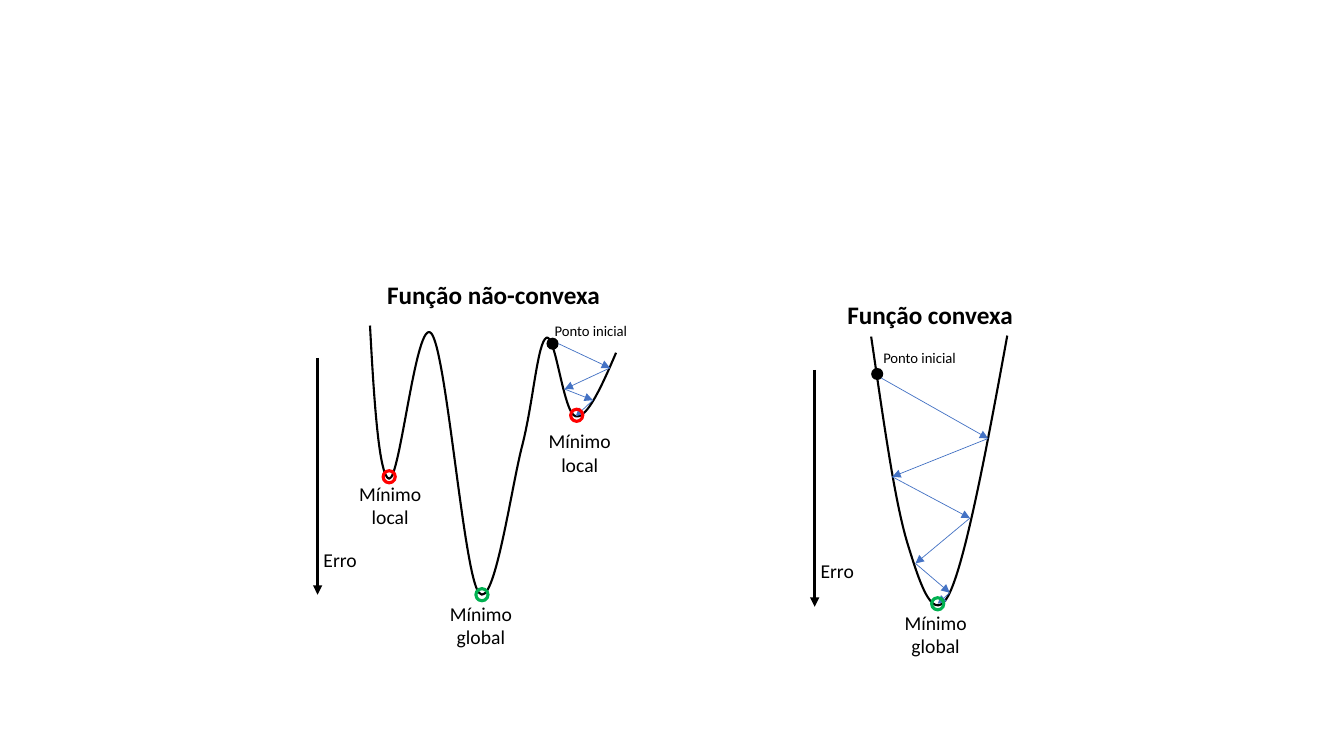
"""Build a slide comparing descent on a non-convex and a convex function."""
from dataclasses import dataclass

from lxml import etree
from pptx import Presentation
from pptx import util as u
from pptx.dml.color import RGBColor
from pptx.enum import shapes, text
from pptx.oxml.ns import qn

COLS, ROWS = 1333, 750
CELL = u.Inches(0.01)
MARK = 12
CURVE_ROWS = 267
FONT = "Calibri"
COLORS = {"ink": "000000", "step": "4472C4", "local": "FF0000", "global": "00B050"}

Point = tuple[float, float]


@dataclass(frozen=True)
class Label:
    text: str
    col: float
    row: float
    cols: float = 86
    rows: float = 57
    size: float = 14
    bold: bool = False
    centered: bool = True


@dataclass(frozen=True)
class Minimum:
    col: float
    row: float
    color: str


@dataclass(frozen=True)
class Panel:
    curve: list[Point]
    start: Point
    descent: list[Point]
    axis: tuple[Point, Point]
    minima: list[Minimum]
    labels: list[Label]


def title(words: str, col: float, row: float) -> Label:
    """Describe a panel heading."""
    return Label(words, col, row, 307, 40, 18, bold=True)


def start_label(col: float, row: float) -> Label:
    """Describe the caption of the starting point."""
    return Label("Ponto inicial", col, row, 122, 28, 10.5)


def error_label(col: float, row: float) -> Label:
    """Describe the caption of the error axis."""
    return Label("Erro", col, row, 65, 34, centered=False)


PANELS = [
    Panel(
        curve=[(864, 334), (876, 415), (887, 496), (900, 539), (913, 581),
               (926, 622), (942, 588), (958, 554), (979, 443), (999, 333)],
        start=(864, 365),
        descent=[(874, 375), (980, 435), (885, 473), (962, 514),
                 (908, 559), (942, 588), (930, 599)],
        axis=((808, 367), (808, 602)),
        minima=[Minimum(924, 593, "global")],
        labels=[title("Função convexa", 769, 292), start_label(851, 341),
                error_label(804, 550), Label("Mínimo global", 885, 601)],
    ),
    Panel(
        curve=[(367, 323), (371, 398), (376, 473), (386, 475), (397, 476),
               (413, 312), (428, 331), (443, 350), (460, 570), (475, 588),
               (490, 607), (507, 484), (518, 442), (529, 399), (533, 340),
               (542, 335), (551, 331), (559, 411), (571, 413), (582, 416),
               (597, 383), (611, 350)],
        start=(542, 335),
        descent=[(554, 341), (605, 365), (560, 386), (588, 397), (571, 413)],
        axis=((315, 355), (315, 590)),
        minima=[Minimum(380, 467, "local"), Minimum(566, 406, "local"),
                Minimum(472, 584, "global")],
        labels=[title("Função não-convexa", 336, 272), start_label(525, 314),
                error_label(311, 539), Label("Mínimo local", 344, 473),
                Label("Mínimo local", 532, 421), Label("Mínimo global", 434, 592)],
    ),
]


def cells(*values: float) -> list[int]:
    """Convert grid cells to slide units."""
    return [round(v * CELL) for v in values]


def rgb(name: str) -> RGBColor:
    """Look up a named colour."""
    return RGBColor.from_string(COLORS[name])


def add_curve(grp, points: list[Point]) -> None:
    """Draw an open curve, each three points after the first ending a cubic."""
    start, *rest = (cells(*point) for point in points)
    fb = grp.build_freeform(*start, scale=1.0)
    fb.add_line_segments(rest, close=False)
    sp = fb.convert_to_shape()
    outline = next(sp._element.iter(qn("a:path")))
    lines = outline.findall(qn("a:lnTo"))
    for i in range(0, len(lines), 3):
        cubic = etree.SubElement(outline, qn("a:cubicBezTo"))
        for line in lines[i:i + 3]:
            cubic.append(line[0])
            outline.remove(line)
    sp.height = u.Emu(CURVE_ROWS * CELL)
    outline.set("h", str(sp.height))
    sp.shadow.inherit = False
    sp.fill.background()
    sp.line.color.rgb = rgb("ink")
    sp.line.width = u.Pt(1.5)


def add_arrow(grp, begin: Point, end: Point, color: str, width: float) -> None:
    """Draw a straight arrow."""
    sp = grp.add_connector(shapes.MSO_CONNECTOR.STRAIGHT, *cells(*begin, *end))
    sp.line.color.rgb = rgb(color)
    sp.line.width = u.Pt(width)
    etree.SubElement(sp.line._get_or_add_ln(), qn("a:tailEnd"), type="triangle")
    etree.SubElement(sp._element.spPr, qn("a:effectLst"))


def add_mark(grp, col: float, row: float, color: str, ring: bool) -> None:
    """Draw a ring or a solid dot."""
    sp = grp.add_shape(shapes.MSO_SHAPE.OVAL, *cells(col, row, MARK, MARK))
    sp.shadow.inherit = False
    if ring:
        sp.fill.background()
        sp.line.color.rgb = rgb(color)
        sp.line.width = u.Pt(2.25)
    else:
        sp.fill.solid()
        sp.fill.fore_color.rgb = rgb(color)
        sp.line.fill.background()


def add_label(grp, label: Label) -> None:
    """Write one caption."""
    sp = grp.add_textbox(*cells(label.col, label.row, label.cols, label.rows))
    tf = sp.text_frame
    tf.word_wrap = True
    tf.auto_size = text.MSO_AUTO_SIZE.SHAPE_TO_FIT_TEXT
    tf.text = label.text
    p = tf.paragraphs[0]
    p.alignment = text.PP_ALIGN.CENTER if label.centered else text.PP_ALIGN.LEFT
    r = p.runs[0]
    r.font.name = FONT
    r.font.size = u.Pt(label.size)
    r.font.bold = label.bold
    r.font.color.rgb = rgb("ink")


def add_panel(slide, panel: Panel) -> None:
    """Draw one function with its descent as a group."""
    grp = slide.shapes.add_group_shape().shapes
    add_curve(grp, panel.curve)
    add_mark(grp, *panel.start, "ink", ring=False)
    for begin, end in zip(panel.descent, panel.descent[1:]):
        add_arrow(grp, begin, end, "step", 0.5)
    add_arrow(grp, *panel.axis, "ink", 2.25)
    for low in panel.minima:
        add_mark(grp, low.col, low.row, low.color, ring=True)
    for label in panel.labels:
        add_label(grp, label)


def main() -> None:
    """Build and save the presentation."""
    prs = Presentation()
    prs.slide_width, prs.slide_height = cells(COLS, ROWS)
    slide = prs.slides.add_slide(prs.slide_layouts[6])
    for panel in PANELS:
        add_panel(slide, panel)
    prs.save("out.pptx")


if __name__ == "__main__":
    main()
